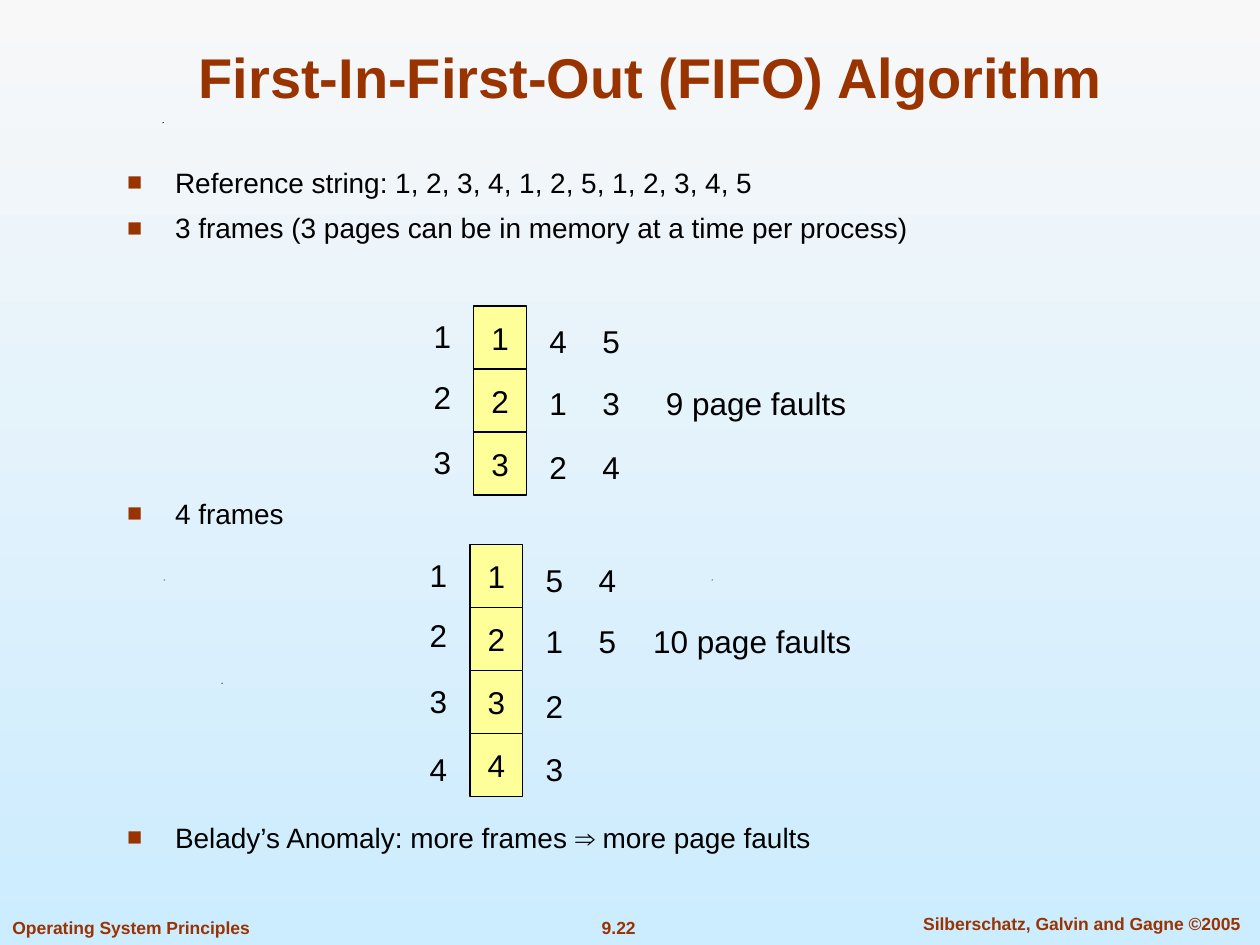
from lxml import etree
from pptx import Presentation
from pptx.dml.color import RGBColor
from pptx.enum.shapes import MSO_SHAPE
from pptx.enum.text import MSO_ANCHOR, MSO_AUTO_SIZE, PP_ALIGN
from pptx.oxml.ns import qn
from pptx.util import Inches, Pt

LEFT, CENTER = PP_ALIGN.LEFT, PP_ALIGN.CENTER
TOP, MIDDLE, BOTTOM = MSO_ANCHOR.TOP, MSO_ANCHOR.MIDDLE, MSO_ANCHOR.BOTTOM
NO_FIT = MSO_AUTO_SIZE.NONE
RECTANGLE = MSO_SHAPE.RECTANGLE
RUST, BLACK, YELLOW = "993300", "000000", "FFFF99"
CELL_WIDTH, CELL_HEIGHT = 0.42, 0.5
DIGIT_WIDTH, LINE_HEIGHT = 0.34, 0.4
REFERENCE_DROPS = (0.04, 0.52, 1.04, 1.58)
REPLACED_DROPS = (0.08, 0.57, 1.08, 1.58)


def color(value):
    """Turn a hex string into a colour."""
    return RGBColor.from_string(value)


def write(para, text, size=18, fill=BLACK, bold=False, align=CENTER):
    """Write one formatted span into a paragraph."""
    para.alignment = align
    span = para.add_run()
    span.text = text
    span.font.name = "Arial"
    span.font.size = Pt(size)
    span.font.bold = bold
    span.font.color.rgb = color(fill)


def place(item, left, top, width, height):
    """Move and size an item, in inches."""
    item.left, item.top = Inches(left), Inches(top)
    item.width, item.height = Inches(width), Inches(height)


def add_label(page, box, text, anchor=MIDDLE, wrap=False, **style):
    """Add a text box with one line of text."""
    label = page.shapes.add_textbox(*map(Inches, box))
    frame = label.text_frame
    frame.word_wrap = wrap
    frame.vertical_anchor = anchor
    write(frame.paragraphs[0], text, **style)


def add_bullet(para):
    """Give a paragraph a square bullet and a hanging indent."""
    props = para._p.get_or_add_pPr()
    props.set("marL", str(Inches(0.38)))
    props.set("indent", str(-Inches(0.38)))
    tint = etree.SubElement(props, qn("a:buClr"))
    etree.SubElement(tint, qn("a:srgbClr"), val=RUST)
    etree.SubElement(props, qn("a:buSzPct"), val="90000")
    etree.SubElement(props, qn("a:buFont"), typeface="Arial")
    etree.SubElement(props, qn("a:buChar"), char="■")


def add_background(page):
    """Fill the page with a vertical gradient."""
    fill = page.background.fill
    fill.gradient()
    fill.gradient_angle = 270
    for stop, value in zip(fill.gradient_stops, ("F8F8F8", "CCECFF")):
        stop.color.rgb = color(value)


def add_specks(page):
    """Scatter the tiny black triangles of the template."""
    for left, top in ((1.76, 5.42), (1.3, 4.6), (5.65, 4.6), (1.29, 0.97)):
        builder = page.shapes.build_freeform(Inches(left), Inches(top + 0.01))
        builder.add_line_segments(
            [(Inches(left + 0.01), Inches(top)), (Inches(left), Inches(top))])
        speck = builder.convert_to_shape()
        speck.shadow.inherit = False
        speck.fill.solid()
        speck.fill.fore_color.rgb = color(BLACK)
        speck.line.fill.background()


def add_footer(page):
    """Add the three footer texts."""
    for box, text, align, wrap in (
        ((0, 7.23, 2.3, 0.27), "Operating System Principles", LEFT, True),
        ((4.42, 7.23, 0.98, 0.27), "9.22", CENTER, False),
        ((7.1, 7.2, 2.97, 0.27), "Silberschatz, Galvin and Gagne ©2005", CENTER, True),
    ):
        add_label(page, box, text, anchor=TOP, wrap=wrap, size=10,
                  fill=RUST, bold=True, align=align)


def fill_title(page, box, text):
    """Place and write the title."""
    title = page.shapes.title
    place(title, *box)
    frame = title.text_frame
    frame.auto_size = NO_FIT
    frame.vertical_anchor = BOTTOM
    write(frame.paragraphs[0], text, size=32, fill=RUST, bold=True)


def fill_body(page, box, items):
    """Place the body and write its bullets, each with the space before it."""
    body = page.placeholders[1]
    place(body, *box)
    frame = body.text_frame
    frame.auto_size = NO_FIT
    frame.vertical_anchor = TOP
    for index, (text, gap) in enumerate(items):
        para = frame.add_paragraph() if index else frame.paragraphs[0]
        para.space_before = Pt(gap)
        write(para, text, size=16, align=LEFT)
        add_bullet(para)


def add_cell(page, left, top, text):
    """Add one yellow memory frame."""
    cell = page.shapes.add_shape(
        RECTANGLE, *map(Inches, (left, top, CELL_WIDTH, CELL_HEIGHT)))
    cell.shadow.inherit = False
    cell.fill.solid()
    cell.fill.fore_color.rgb = color(YELLOW)
    cell.line.color.rgb = color(BLACK)
    cell.line.width = Pt(0.75)
    frame = cell.text_frame
    frame.word_wrap = False
    frame.vertical_anchor = MIDDLE
    write(frame.paragraphs[0], text)


def add_frames(page, left, top, count, columns, faults, faults_width):
    """Draw a stack of frames, the pages that replace them and the fault count."""
    pages = [str(number + 1) for number in range(count)]
    for row, text in enumerate(pages):
        add_cell(page, left, top + row * CELL_HEIGHT, text)
    placed = [(-CELL_WIDTH, REFERENCE_DROPS, pages)]
    for index, column in enumerate(columns):
        placed.append((0.5 + index * CELL_WIDTH, REPLACED_DROPS, column))
    for shift, drops, texts in placed:
        for drop, text in zip(drops, texts):
            add_label(page, (left + shift, top + drop, DIGIT_WIDTH, LINE_HEIGHT), text)
    start = left + 2.24 - faults_width / 2
    add_label(page, (start, top + REPLACED_DROPS[1], faults_width, LINE_HEIGHT), faults)


def main():
    """Build the deck and save it."""
    deck = Presentation()
    deck.slide_width, deck.slide_height = Inches(10), Inches(7.5)
    page = deck.slides.add_slide(deck.slide_layouts[1])
    add_background(page)
    add_specks(page)
    add_footer(page)
    fill_title(page, (0.75, 0.25, 8.83, 0.67), "First-In-First-Out (FIFO) Algorithm")
    fill_body(page, (0.91, 1.26, 7.69, 6.3), (
        ("Reference string: 1, 2, 3, 4, 1, 2, 5, 1, 2, 3, 4, 5", 0),
        ("3 frames (3 pages can be in memory at a time per process)", 7),
        ("4 frames", 144),
        ("Belady’s Anomaly: more frames ⇒ more page faults", 166),
    ))
    add_frames(page, 3.76, 2.43, 3, ("412", "534"), "9 page faults", 1.63)
    add_frames(page, 3.73, 4.32, 4, ("5123", "45"), "10 page faults", 1.77)
    deck.save("out.pptx")


if __name__ == "__main__":
    main()
